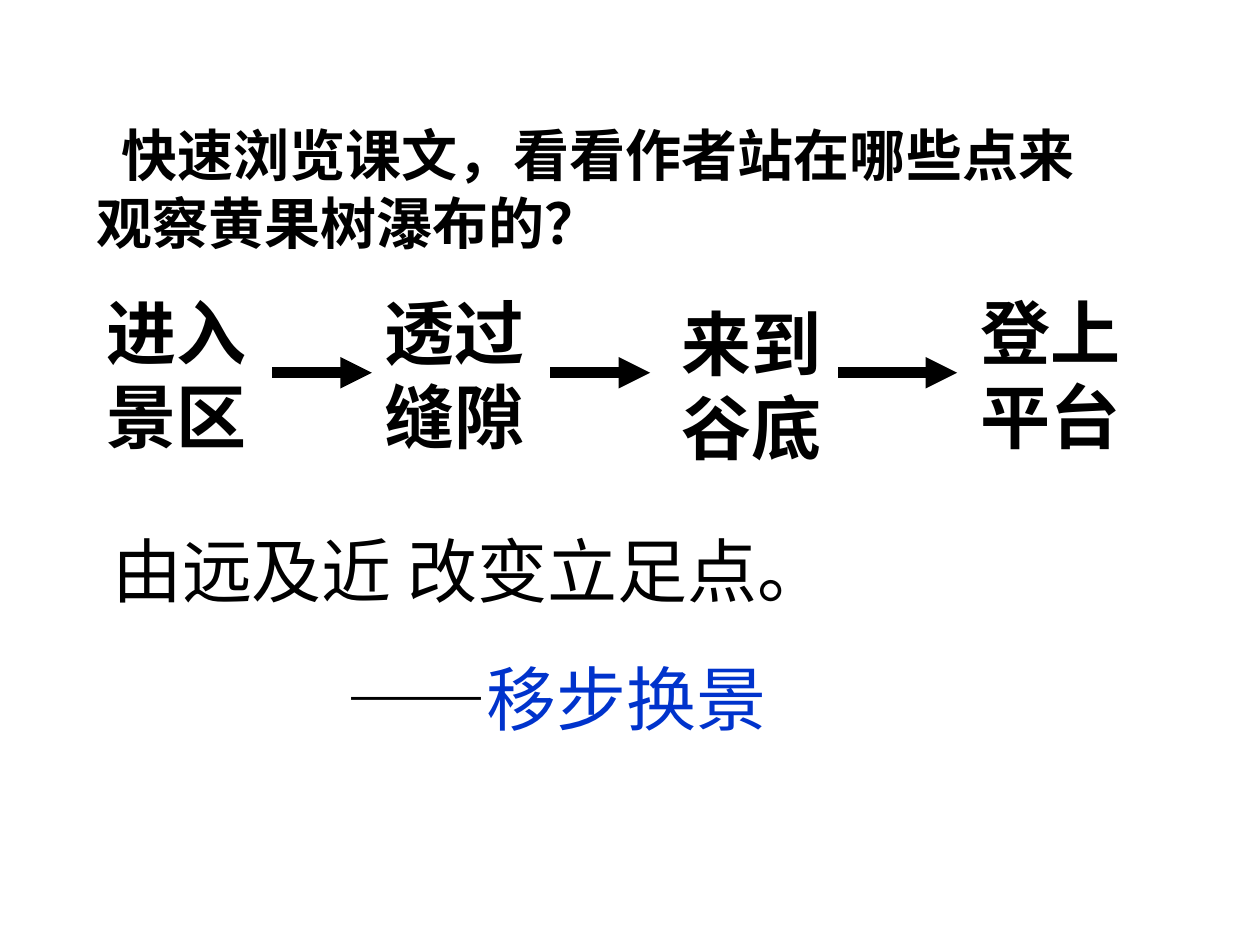
from dataclasses import dataclass
from typing import Optional

from lxml.etree import SubElement
from pptx import Presentation
from pptx.dml.color import RGBColor
from pptx.enum.shapes import MSO_CONNECTOR
from pptx.oxml.ns import qn
from pptx.util import Pt

COLOURS = {"ink": "000000", "accent": "0033CC"}
SANS = "Noto Sans CJK SC"
SERIF = "Times New Roman"
ARROW_Y = 213


@dataclass
class Span:
    text: str
    size: float
    font: str = SANS
    colour: str = "ink"
    bold: bool = False


@dataclass
class Para:
    spans: list[Span]
    margin: float = 0
    indent: float = 0
    before: float = 0


@dataclass
class Stop:
    text: str
    left: float
    top: float
    width: float


@dataclass
class Arrow:
    start: float
    end: float
    target: Optional[int] = None


QUESTION = [
    Para([Span("快速浏览课文，看看作者站在哪些点来观察黄果树瀑布的？", 32, bold=True)], indent=14.5),
]
ANSWER = [
    Para([Span("由远及近 改变立足点。", 40)], indent=9),
    Para([Span("——", 40), Span("移步换景", 40, colour="accent")], margin=143, before=25),
]
STOPS = [
    Stop("进入景区", 54, 162, 96.5),
    Stop("透过缝隙", 212.5, 162, 108),
    Stop("来到谷底", 382.5, 168, 108),
    Stop("登上平台", 553, 162, 119.5),
]
ARROWS = [Arrow(155.5, 212.5, target=1), Arrow(314.5, 371.5), Arrow(479, 547)]


def add_text(page, left: float, top: float, width: float, height: float, paras: list[Para]):
    """Add a wrapping text box and fill it run by run."""
    box = page.shapes.add_textbox(Pt(left), Pt(top), Pt(width), Pt(height))
    frame = box.text_frame
    frame.word_wrap = True
    for index, item in enumerate(paras):
        para = frame.add_paragraph() if index else frame.paragraphs[0]
        para.space_before = Pt(item.before)
        properties = para._p.get_or_add_pPr()
        properties.set("marL", str(Pt(item.margin)))
        properties.set("indent", str(Pt(item.indent)))
        for span in item.spans:
            run = para.add_run()
            run.text = span.text
            run.font.size = Pt(span.size)
            run.font.name = span.font
            run.font.bold = span.bold
            run.font.color.rgb = RGBColor.from_string(COLOURS[span.colour])
            SubElement(run._r.get_or_add_rPr(), qn("a:ea"), typeface=SANS)
    return box


def add_arrow(page, arrow: Arrow, boxes: list) -> None:
    """Draw a thick arrow, joined to its target box if it reaches one."""
    line = page.shapes.add_connector(
        MSO_CONNECTOR.STRAIGHT, Pt(arrow.start), Pt(ARROW_Y), Pt(arrow.end), Pt(ARROW_Y)
    )
    if arrow.target is not None:
        line.end_connect(boxes[arrow.target], 1)
    line.line.width = Pt(6)
    line.line.color.rgb = RGBColor.from_string(COLOURS["ink"])
    SubElement(line.line._get_or_add_ln(), qn("a:tailEnd"), type="triangle")
    SubElement(line._element.spPr, qn("a:effectLst"))


def main() -> None:
    """Build the slide and save it."""
    deck = Presentation()
    deck.slide_width, deck.slide_height = Pt(720), Pt(540)
    page = deck.slides.add_slide(deck.slide_layouts[6])
    add_text(page, 48, 65.5, 601, 84, QUESTION)
    boxes = [
        add_text(page, stop.left, stop.top, stop.width, 102,
                 [Para([Span(stop.text, 40, SERIF, bold=True)])])
        for stop in STOPS
    ]
    for arrow in ARROWS:
        add_arrow(page, arrow, boxes)
    add_text(page, 48, 298, 629, 128, ANSWER)
    deck.save("out.pptx")


if __name__ == "__main__":
    main()
